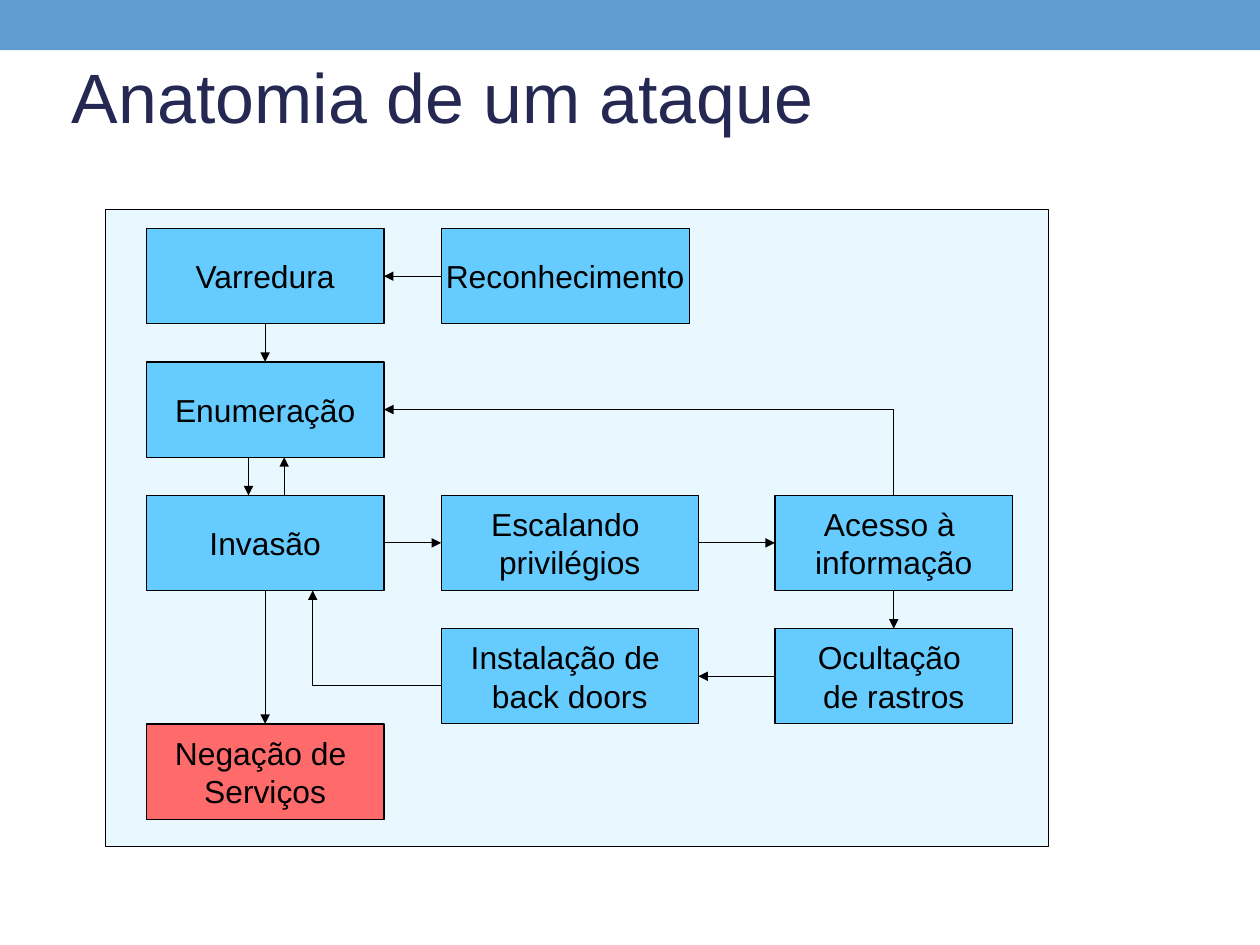
import pptx
import pptx.util
import pptx.dml.color
import pptx.enum.shapes
import pptx.enum.text
import pptx.oxml
import pptx.oxml.ns

In, Pt = pptx.util.Inches, pptx.util.Pt
RGB = pptx.dml.color.RGBColor.from_string
KIND = pptx.enum.shapes.MSO_SHAPE.RECTANGLE
CONNECTOR = pptx.enum.shapes.MSO_CONNECTOR
ALIGN = pptx.enum.text.PP_ALIGN
MIDDLE = pptx.enum.text.MSO_ANCHOR.MIDDLE
NO_FIT = pptx.enum.text.MSO_AUTO_SIZE.NONE

COLORS = {"band": "629DD1", "title": "242852", "panel": "E9F7FF",
          "step": "66CCFF", "denial": "FF6B6B", "ink": "000000"}
PANEL = (0.92, 1.83, 8.25, 5.58)
UNIT = 1 / 6                                        # row unit of the flow, inches
BOX_ROWS = 5
TOP_MARGIN = 0.17
COLUMNS = [(0.36, 2.08), (2.94, 2.25), (5.86, 2.08)]  # left in panel, width
TOP, LEFT, BOTTOM, RIGHT = range(4)

# name: (text, column, row, color, width or None for the column's)
STEPS = {
    "recon": ("Reconhecimento", 1, 0, "step", 2.17),
    "scan": ("Varredura", 0, 0, "step", None),
    "enum": ("Enumeração", 0, 7, "step", None),
    "invade": ("Invasão", 0, 14, "step", None),
    "escalate": ("Escalando \vprivilégios", 1, 14, "step", None),
    "access": ("Acesso à \vinformação", 2, 14, "step", None),
    "hide": ("Ocultação \vde rastros", 2, 21, "step", None),
    "backdoor": ("Instalação de \vback doors", 1, 21, "step", None),
    "denial": ("Negação de \vServiços", 0, 26, "denial", None),
}
JOINS = [("recon", LEFT, "scan", RIGHT), ("scan", BOTTOM, "enum", TOP),
         ("invade", RIGHT, "escalate", LEFT), ("escalate", RIGHT, "access", LEFT),
         ("access", BOTTOM, "hide", TOP), ("hide", LEFT, "backdoor", RIGHT),
         ("invade", BOTTOM, "denial", TOP)]


def format_text(tf, color, size, align):
    for name, value in {"auto_size": NO_FIT, "vertical_anchor": MIDDLE}.items():
        setattr(tf, name, value)
    for p in tf.paragraphs:
        p.alignment = align
        for r in p.runs:
            for name, value in {"name": "Arial", "size": Pt(size), "bold": False}.items():
                setattr(r.font, name, value)
            r.font.color.rgb = RGB(COLORS[color])


def set_line(sp):
    sp.line.color.rgb = RGB(COLORS["ink"])
    sp.line.width = Pt(0.75)


def add_rect(s, box, fill, outlined=True):
    sp = s.shapes.add_shape(KIND, *map(In, box))
    sp.shadow.inherit = False
    sp.fill.solid()
    sp.fill.fore_color.rgb = RGB(COLORS[fill])
    if outlined:
        set_line(sp)
    else:
        sp.line.fill.background()
    return sp


def add_arrow(s, start, end, kind=CONNECTOR.STRAIGHT):
    sp = s.shapes.add_connector(kind, *map(In, (*start, *end)))
    set_line(sp)
    ns = pptx.oxml.ns.nsdecls("a")
    sp.line._get_or_add_ln().append(
        pptx.oxml.parse_xml(f'<a:tailEnd {ns} type="triangle"/>'))
    sp._element.spPr.append(pptx.oxml.parse_xml(f'<a:effectLst {ns}/>'))
    return sp


def add_elbow(s, start, end, up_first):
    """Draw a one-bend arrow that runs up and to the left."""
    (x1, y1), (x2, y2) = start, end
    width, height = x1 - x2, y1 - y2
    if up_first:
        width, height = height, width
    left, top = (x1 + x2 - width) / 2, (y1 + y2 - height) / 2
    sp = add_arrow(s, (left, top), (left + width, top + height), CONNECTOR.ELBOW)
    props = sp._element.spPr
    props.find(pptx.oxml.ns.qn("a:prstGeom")).set("prst", "bentConnector2")
    xfrm = props.find(pptx.oxml.ns.qn("a:xfrm"))
    xfrm.set("rot", str((270 if up_first else 180) * 60000))
    if up_first:
        xfrm.set("flipV", "1")


def add_header(s, box):
    left, top, width, height = box
    add_rect(s, (left, top, width, 0.44), "band", outlined=False)
    title = s.shapes.title
    place = (left + 0.52, top + 0.23, width - 0.78, height)
    for name, value in zip(("left", "top", "width", "height"), place):
        setattr(title, name, In(value))
    tf = title.text_frame
    tf.text = "Anatomia de um ataque"
    for name, value in {"margin_left": 0.11, "margin_right": 0.11,
                        "margin_top": 0.06, "margin_bottom": 0.06}.items():
        setattr(tf, name, In(value))
    format_text(tf, "title", 44, ALIGN.LEFT)


def add_step(s, origin, text, column, row, color, width):
    left, column_width = COLUMNS[column]
    box = (origin[0] + left, origin[1] + TOP_MARGIN + row * UNIT,
           width or column_width, BOX_ROWS * UNIT)
    sp = add_rect(s, box, color)
    tf = sp.text_frame
    tf.text = text
    tf.word_wrap = False
    format_text(tf, "ink", 20, ALIGN.CENTER)
    return sp


def add_flow(s, box):
    left, top = box[:2]

    def point(column, share, row):
        x, width = COLUMNS[column]
        return left + x + share * width, top + TOP_MARGIN + row * UNIT

    add_rect(s, box, "panel")
    add_elbow(s, point(2, 0.5, 14), point(0, 1, 9.5), up_first=True)
    add_elbow(s, point(1, 0.19, 24), point(0, 0.7, 19), up_first=False)
    steps = {name: add_step(s, box, *step) for name, step in STEPS.items()}
    for source, out_side, target, in_side in JOINS:
        sp = add_arrow(s, (0, 0), (1, 1))
        sp.begin_connect(steps[source], out_side)
        sp.end_connect(steps[target], in_side)
    add_arrow(s, point(0, 0.43, 12), point(0, 0.43, 14))
    add_arrow(s, point(0, 0.58, 14), point(0, 0.58, 12))


def main():
    prs = pptx.Presentation()
    prs.slide_width = pptx.util.Cm(28)
    prs.slide_height = pptx.util.Cm(21)
    s = prs.slides.add_slide(prs.slide_layouts[5])
    add_header(s, (0, 0, prs.slide_width.inches, 1.21))
    add_flow(s, PANEL)
    prs.save("out.pptx")


if __name__ == "__main__":
    main()
